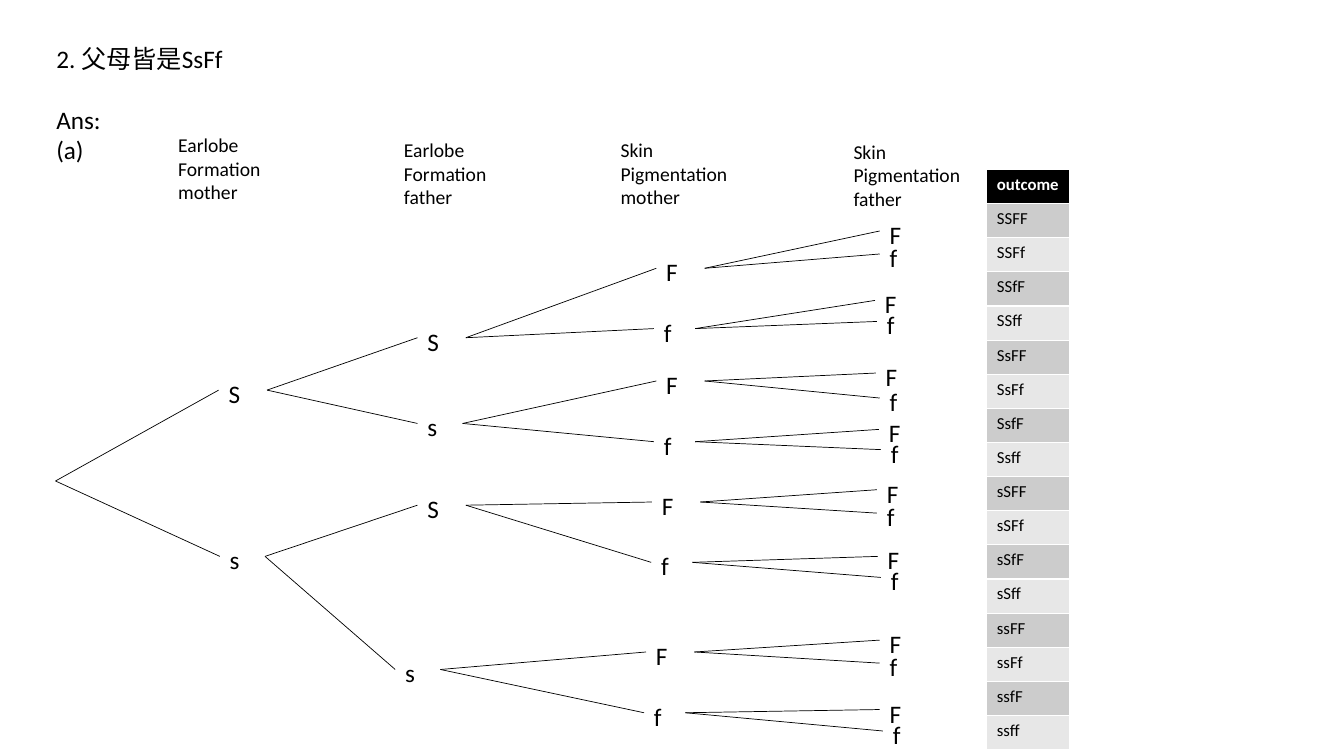
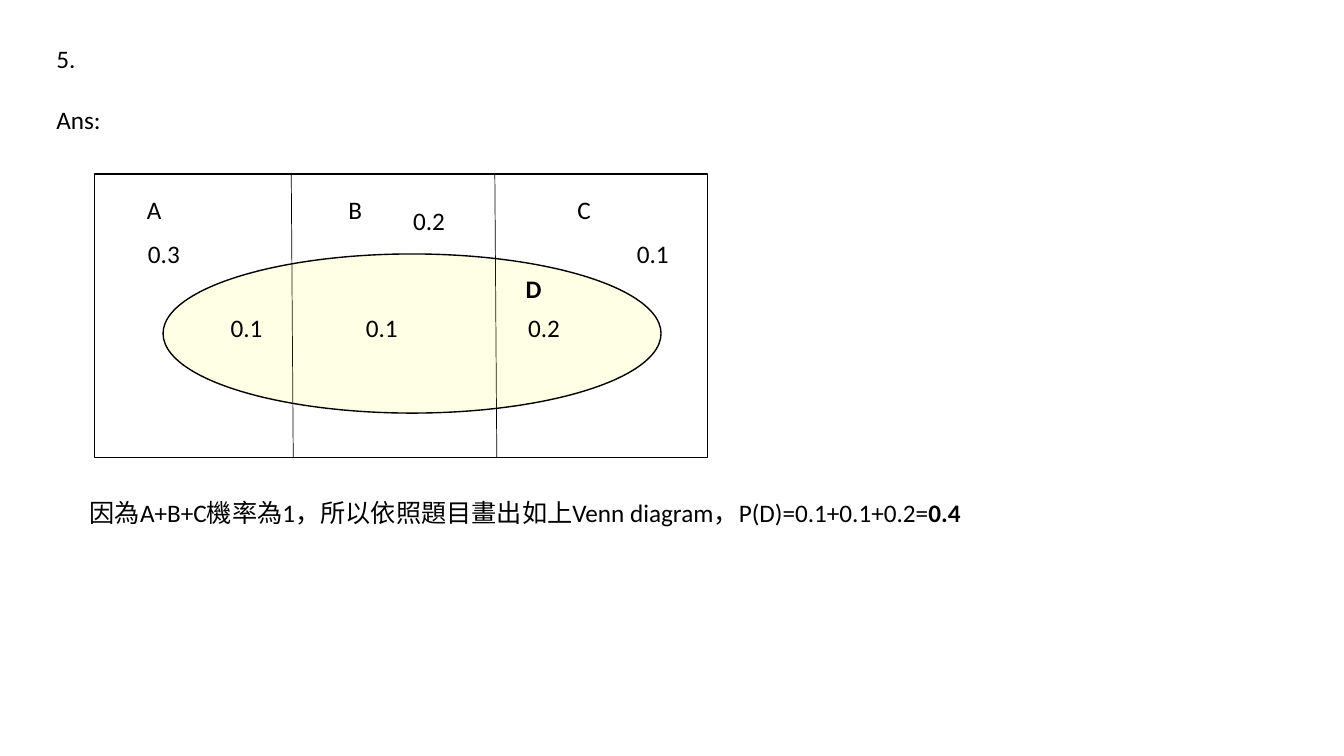
from itertools import product

from lxml import etree
from pptx import Presentation
from pptx.dml.color import RGBColor
from pptx.enum.shapes import MSO_CONNECTOR, MSO_SHAPE
from pptx.oxml.ns import qn
from pptx.util import Cm, Pt

STRAIGHT = MSO_CONNECTOR.STRAIGHT
RECTANGLE = MSO_SHAPE.RECTANGLE
OVAL = MSO_SHAPE.OVAL
LEFT_SIDE, RIGHT_SIDE = 1, 3

BLACK = RGBColor(0x00, 0x00, 0x00)
WHITE = RGBColor(0xFF, 0xFF, 0xFF)
YELLOW = RGBColor(0xFF, 0xFF, 0x00)
DARK_BAND = RGBColor(0xCC, 0xCC, 0xCC)
LIGHT_BAND = RGBColor(0xE7, 0xE7, 0xE7)
FONT = "Calibri"

GENES = ["Ss", "Ss", "Ff", "Ff"]
NODE_WIDTHS = {"S": 1.22, "s": 1.14, "F": 1.22, "f": 1.04}
NODE_HEIGHT = 0.84
ROOT = (1.4, 12.12)
TREE_LEVELS = [
    [(5.51, 9.83), (5.54, 14.02)],
    [(10.52, 8.51), (10.52, 10.67), (10.52, 12.73), (9.96, 16.87)],
    [(16.54, 6.76), (16.48, 8.28), (16.54, 9.6), (16.48, 11.13),
     (16.43, 12.65), (16.41, 14.17), (16.28, 16.43), (16.23, 17.96)],
    [(22.17, 5.82), (22.17, 6.4), (22.05, 7.57), (22.1, 8.1),
     (22.07, 9.4), (22.17, 10.03), (22.15, 10.82), (22.2, 11.33),
     (22.1, 12.34), (22.1, 12.93), (22.12, 14.02), (22.2, 14.55),
     (22.17, 16.13), (22.17, 16.71), (22.17, 17.88), (22.25, 18.42)],
]
COLUMN_TITLES = [
    (["Earlobe", "Formation", "mother"], 4.24, 3.23),
    (["Earlobe", "Formation", "father"], 9.93, 3.35),
    (["Skin", "Pigmentation", "mother"], 15.39, 3.35),
    (["Skin", "Pigmentation", "father"], 21.26, 3.4),
]
TABLE_LEFT, TABLE_TOP, TABLE_WIDTH, ROW_HEIGHT = 24.87, 4.27, 2.08, 0.86

FRAME = (2.39, 4.39, 15.44, 7.14)
ELLIPSE = (4.11, 6.4, 12.55, 4.01)
DIVIDERS = [(7.34, 7.39), (12.47, 12.52)]
VENN_LABELS = [
    ("A", 3.45, 4.78), ("B", 8.53, 4.78), ("C", 14.3, 4.78), ("D", 13, 6.76),
    ("0.1", 5.56, 7.75), ("0.1", 8.97, 7.75), ("0.2", 13.06, 7.75),
    ("0.3", 3.48, 5.89), ("0.2", 10.16, 5.05), ("0.1", 15.8, 5.89),
]
CONCLUSION = "因為A+B+C機率為1，所以依照題目畫出如上Venn diagram，P(D)=0.1+0.1+0.2="
RESULT = "0.4"


def style_paragraph(para, size, color=BLACK, bold=False):
    for span in para.runs:
        span.font.name = FONT
        span.font.size = Pt(size)
        span.font.bold = bold
        span.font.color.rgb = color


def add_text(page, lines, left, top, width, height, size=18, bold=False):
    box = page.shapes.add_textbox(Cm(left), Cm(top), Cm(width), Cm(height))
    box.text_frame.word_wrap = True
    box.text_frame.text = "\n".join(lines)
    for para in box.text_frame.paragraphs:
        style_paragraph(para, size, bold=bold)
    return box


def add_heading(page, lines):
    box = add_text(page, lines, 1.17, 0.97, 21.2, 1.1 + 0.8 * len(lines))
    box.text_frame.paragraphs[1].space_before = Pt(22)


def add_line(page, x1, y1, x2, y2):
    line = page.shapes.add_connector(STRAIGHT, Cm(x1), Cm(y1), Cm(x2), Cm(y2))
    line.line.color.rgb = BLACK
    line.line.width = Pt(0.5)
    etree.SubElement(line._element.spPr, qn("a:effectLst"))
    return line


def add_outline(page, kind, bounds):
    shape = page.shapes.add_shape(kind, *map(Cm, bounds))
    shape.shadow.inherit = False
    shape.fill.background()
    shape.line.color.rgb = BLACK
    shape.line.width = Pt(1)
    return shape


def add_tree(page):
    parents = [None]
    for alleles, level in zip(GENES, TREE_LEVELS):
        nodes = []
        for index, (left, middle) in enumerate(level):
            letter = alleles[index % 2]
            node = add_text(page, [letter], left, middle - NODE_HEIGHT / 2,
                            NODE_WIDTHS[letter], NODE_HEIGHT)
            branch = add_line(page, *ROOT, left, middle)
            parent = parents[index // 2]
            if parent is not None:
                branch.begin_connect(parent, RIGHT_SIDE)
            branch.end_connect(node, LEFT_SIDE)
            nodes.append(node)
        parents = nodes


def add_outcomes(page):
    rows = ["outcome"] + ["".join(letters) for letters in product(*GENES)]
    table = page.shapes.add_table(
        len(rows), 1, Cm(TABLE_LEFT), Cm(TABLE_TOP),
        Cm(TABLE_WIDTH), Cm(ROW_HEIGHT * len(rows))).table
    for index, text in enumerate(rows):
        header = index == 0
        table.rows[index].height = Cm(ROW_HEIGHT)
        cell = table.cell(index, 0)
        cell.text = text
        cell.fill.solid()
        band = DARK_BAND if index % 2 else LIGHT_BAND
        cell.fill.fore_color.rgb = BLACK if header else band
        style_paragraph(cell.text_frame.paragraphs[0], 12,
                        WHITE if header else BLACK, header)


def build_tree_page(page):
    add_heading(page, ["2. 父母皆是SsFf", "Ans:", "(a)"])
    add_tree(page)
    for lines, left, top in COLUMN_TITLES:
        add_text(page, lines, left, top, 3.4, 2.06, size=14)
    add_outcomes(page)


def build_venn_page(page):
    add_heading(page, ["5.", "Ans:"])
    add_outline(page, RECTANGLE, FRAME)
    top, bottom = FRAME[1], FRAME[1] + FRAME[3]
    for upper, lower in DIVIDERS:
        add_line(page, upper, top, lower, bottom)
    ellipse = add_outline(page, OVAL, ELLIPSE)
    ellipse.fill.solid()
    ellipse.fill.fore_color.rgb = YELLOW
    color = ellipse._element.spPr.find(qn("a:solidFill"))[0]
    etree.SubElement(color, qn("a:alpha")).set("val", "10000")
    for text, left, label_top in VENN_LABELS:
        add_text(page, [text], left, label_top, 1.5, 1.02, bold=text == "D")
    box = add_text(page, [CONCLUSION], 2.01, 12.4, 26, 1.02)
    para = box.text_frame.paragraphs[0]
    para.add_run().text = RESULT
    style_paragraph(para, 18)
    para.runs[-1].font.bold = True


def main():
    deck = Presentation()
    deck.slide_width, deck.slide_height = Cm(33.87), Cm(19.05)
    for build_page in (build_tree_page, build_venn_page):
        build_page(deck.slides.add_slide(deck.slide_layouts[6]))
    deck.save("out.pptx")


if __name__ == "__main__":
    main()
